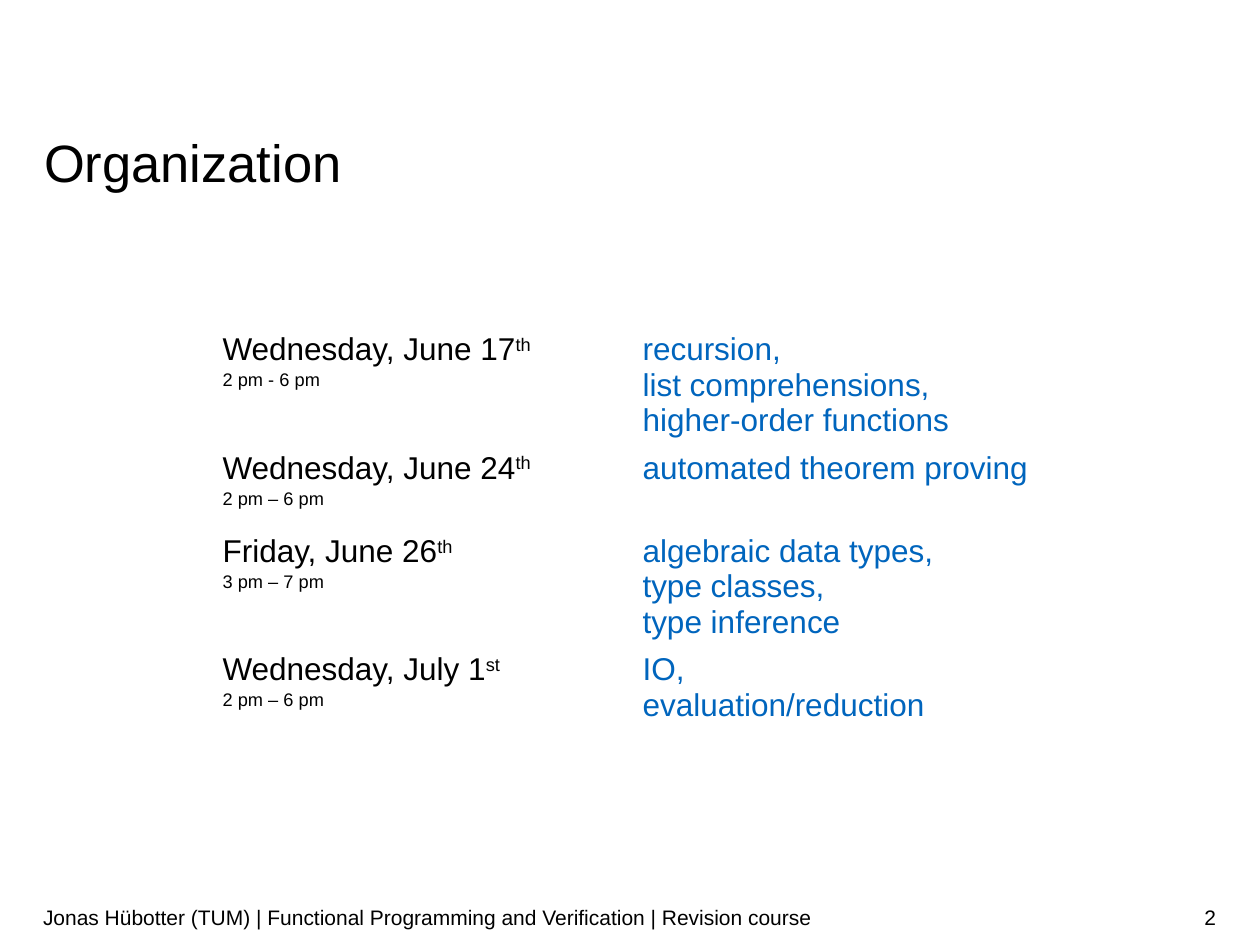
from pptx import Presentation
from pptx.dml.color import RGBColor
from pptx.enum.text import MSO_ANCHOR, PP_ALIGN
from pptx.util import Pt

PX = 914400 // 126
LEFT, RIGHT = PP_ALIGN.LEFT, PP_ALIGN.RIGHT
TOP, MIDDLE = MSO_ANCHOR.TOP, MSO_ANCHOR.MIDDLE
BLACK, BLUE = "000000", "0065BD"

SCHEDULE = [
    ("Wednesday, June 17", "th", "2 pm - 6 pm",
     ["recursion,", "list comprehensions,", "higher-order functions"]),
    ("Wednesday, June 24", "th", "2 pm – 6 pm", ["automated theorem proving"]),
    ("Friday, June 26", "th", "3 pm – 7 pm",
     ["algebraic data types,", "type classes,", "type inference"]),
    ("Wednesday, July 1", "st", "2 pm – 6 pm", ["IO,", "evaluation/reduction"]),
]


def rgb(value):
    return RGBColor.from_string(value)


class Deck:
    """Holds the style and the current slide, and adds its elements."""

    font = "Arial"

    def __init__(self, width, height):
        self.prs = Presentation()
        self.prs.slide_width, self.prs.slide_height = width * PX, height * PX
        self.slide = self.prs.slides.add_slide(self.prs.slide_layouts[5])

    def style(self, r, size, color=BLACK, raised=False):
        r.font.name, r.font.size, r.font.bold = self.font, Pt(size), False
        r.font.color.rgb = rgb(color)
        if raised:
            r.font._element.set("baseline", "30000")

    def frame(self, tf, text, size, inset, anchor, align):
        tf.text = text
        tf.word_wrap = True
        tf.vertical_anchor = anchor
        tf.margin_left = tf.margin_right = 0
        tf.margin_top = tf.margin_bottom = inset * PX
        p = tf.paragraphs[0]
        p.alignment = align
        self.style(p.runs[0], size)
        return p

    def title(self, text, x, y, w, h):
        sp = self.slide.shapes.title
        sp.left, sp.top, sp.width, sp.height = (v * PX for v in (x, y, w, h))
        p = self.frame(sp.text_frame, text, 30, 0, TOP, LEFT)
        p.line_spacing = Pt(32)

    def text(self, text, x, y, w, h, align=LEFT):
        sp = self.slide.shapes.add_textbox(*(v * PX for v in (x, y, w, h)))
        self.frame(sp.text_frame, text, 12, 6, MIDDLE, align)

    def cell(self, cell, lines, color=BLACK):
        cell.fill.background()
        tf = cell.text_frame
        for i, line in enumerate(lines):
            p = tf.add_paragraph() if i else tf.paragraphs[0]
            for text, raised in line:
                r = p.add_run()
                r.text = text
                self.style(r, 18, color, raised)

    def schedule(self, entries, x, y, col_w, row_h):
        box = (x, y, 2 * col_w, len(entries) * row_h)
        table = self.slide.shapes.add_table(
            len(entries), 2, *(v * PX for v in box)).table
        table.first_row = table.horz_banding = False
        for i, (day, suffix, time, topics) in enumerate(entries):
            self.cell(table.cell(i, 0),
                      [[(day, False), (suffix, True)], [(time, True)]])
            self.cell(table.cell(i, 1),
                      [[(topic, False)] for topic in topics], BLUE)


deck = Deck(1260, 945)
deck.title("Organization", 44, 137, 1173, 57)
deck.schedule(SCHEDULE, 210, 326, 420, 52)
deck.text("Jonas Hübotter (TUM) | Functional Programming and Verification"
          " | Revision course", 43, 892, 891, 50)
deck.text("2", 934, 892, 282, 50, RIGHT)
deck.prs.save("out.pptx")
